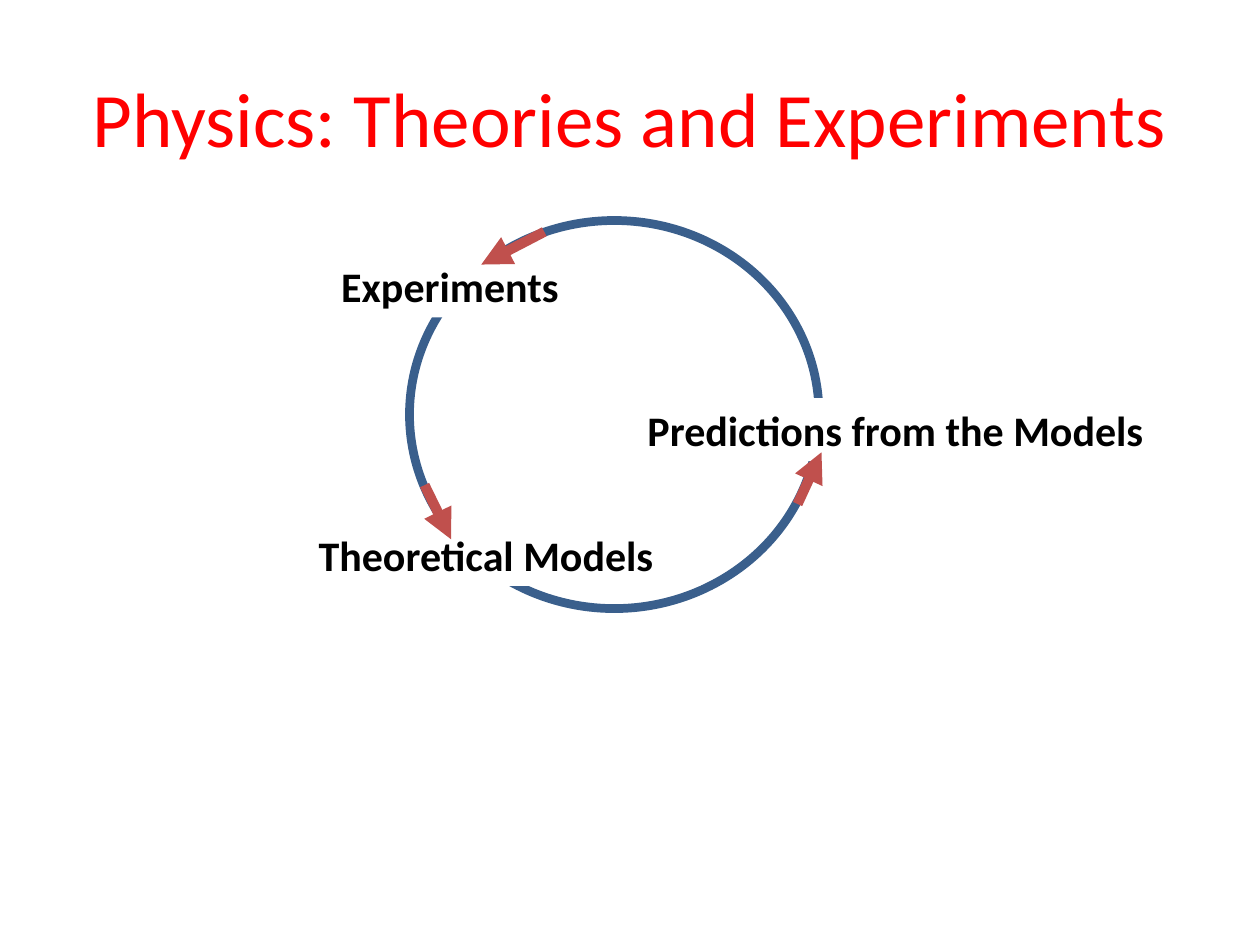
from lxml.etree import SubElement
from pptx import Presentation
from pptx.dml.color import RGBColor
from pptx.enum.shapes import MSO_CONNECTOR, MSO_SHAPE
from pptx.enum.text import MSO_ANCHOR, PP_ALIGN
from pptx.oxml.ns import qn
from pptx.util import Pt

COLORS = {"title": "FF0000", "ring": "3A5F8C", "arrow": "C0504D",
          "text": "000000", "label": "FFFFFF"}
FONT = "Calibri"


def rgb(name):
    return RGBColor.from_string(COLORS[name])


def set_font(p, size, color, bold=False):
    p.font.name = FONT
    p.font.size = Pt(size)
    p.font.bold = bold
    p.font.color.rgb = rgb(color)


prs = Presentation()
prs.slide_width, prs.slide_height = Pt(720), Pt(540)
s = prs.slides.add_slide(prs.slide_layouts[5])

# Cycle ring
ring = s.shapes.add_shape(MSO_SHAPE.OVAL, Pt(234), Pt(126), Pt(234), Pt(221.76))
ring.shadow.inherit = False
ring.fill.background()
ring.line.color.rgb = rgb("ring")
ring.line.width = Pt(5)

# Title
title = s.shapes.title
title.left, title.top, title.width, title.height = Pt(36), Pt(21.6), Pt(648), Pt(90)
tf = title.text_frame
tf.text = "Physics: Theories and Experiments"
tf.vertical_anchor = MSO_ANCHOR.MIDDLE
tf.paragraphs[0].alignment = PP_ALIGN.CENTER
set_font(tf.paragraphs[0], 44, "title")

# White labels that interrupt the ring: text, left, top, width
labels = [
    ("Theoretical Models", 174.96, 298.8, 225.36),
    ("Predictions from the Models", 362.88, 227.52, 306),
    ("Experiments", 187.92, 145.44, 184.32),
]
for text, left, top, width in labels:
    sp = s.shapes.add_textbox(Pt(left), Pt(top), Pt(width), Pt(36))
    sp.fill.solid()
    sp.fill.fore_color.rgb = rgb("label")
    tf = sp.text_frame
    tf.word_wrap = True
    tf.text = text
    set_font(tf.paragraphs[0], 24, "text", bold=True)

# Arrows pointing to each stage: x1, y1, x2, y2
arrows = [
    (311.04, 132.48, 275.04, 151.2),
    (242.64, 277.2, 257.76, 308.16),
    (455.76, 288, 469.44, 258.48),
]
for ends in arrows:
    arrow = s.shapes.add_connector(MSO_CONNECTOR.STRAIGHT, *map(Pt, ends))
    arrow.line.color.rgb = rgb("arrow")
    arrow.line.width = Pt(5.75)
    SubElement(arrow.line._get_or_add_ln(), qn("a:tailEnd"), type="triangle")
    SubElement(arrow._element.spPr, qn("a:effectLst"))

prs.save("out.pptx")
